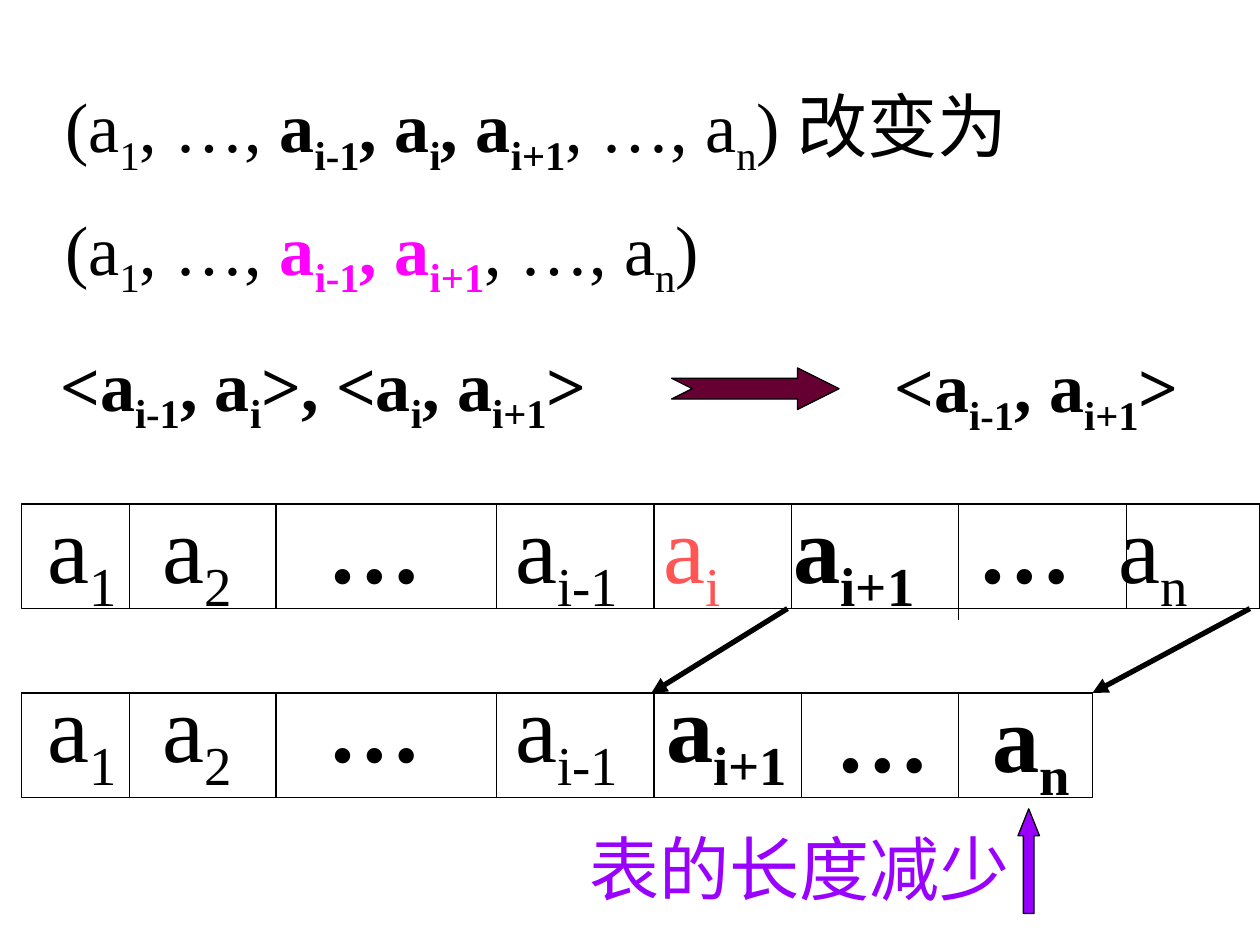
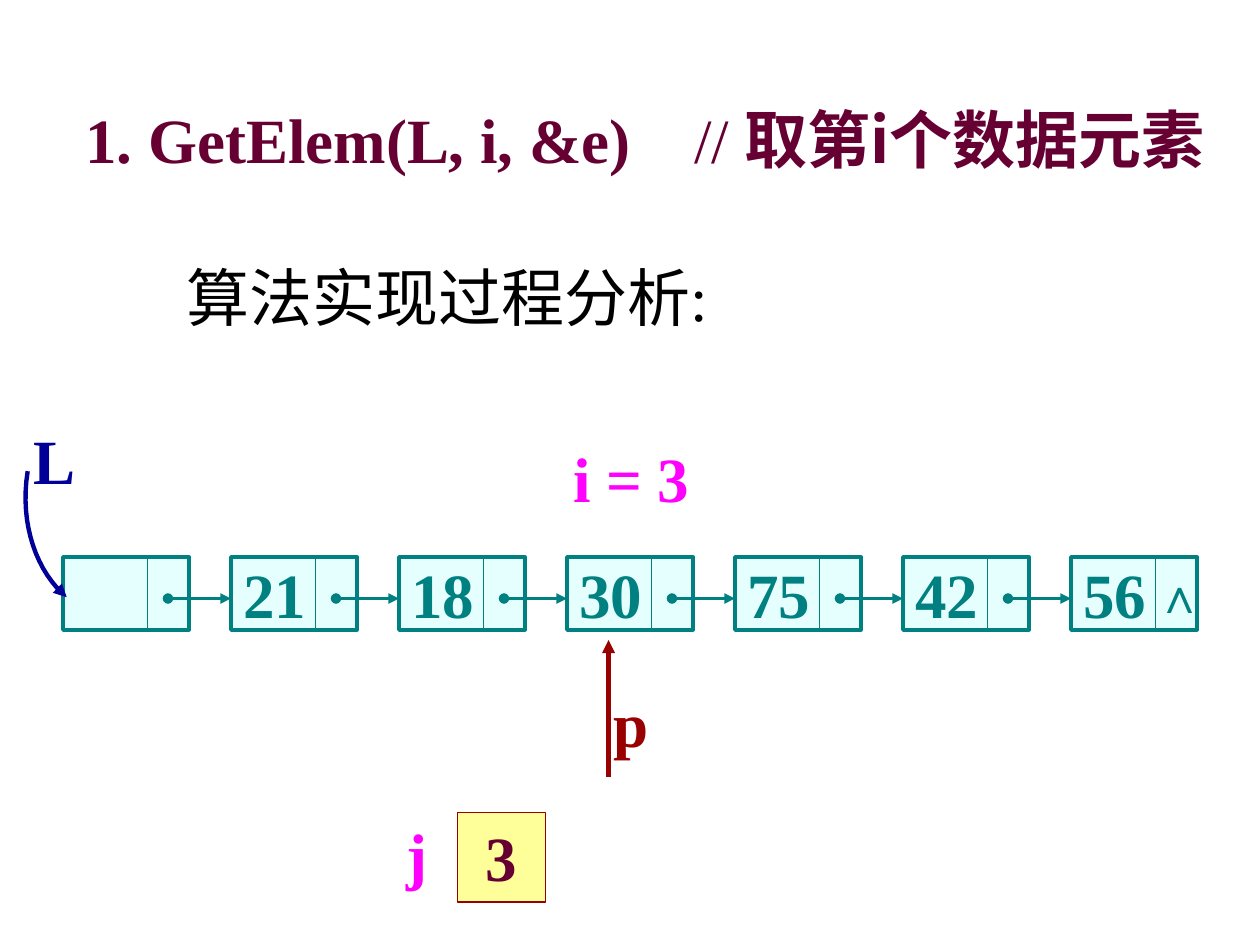
from dataclasses import dataclass

from lxml.etree import SubElement
from pptx import Presentation
from pptx.dml.color import RGBColor
from pptx.enum.shapes import MSO_CONNECTOR, MSO_SHAPE
from pptx.enum.text import MSO_ANCHOR, PP_ALIGN
from pptx.oxml.ns import qn
from pptx.util import Inches, Pt


@dataclass(frozen=True)
class Theme:
    """Colours, fonts and type sizes of the deck."""
    black: str = "000000"
    wine: str = "660033"
    violet: str = "9900FF"
    magenta: str = "FF00FF"
    coral: str = "FF5555"
    teal: str = "008080"
    pale_teal: str = "CCFFFF"
    navy: str = "000099"
    red: str = "990000"
    cream: str = "FFFF99"
    latin: str = "Times New Roman"
    chinese: str = "Noto Sans CJK SC"
    cell_size: int = 54
    formula_size: int = 40
    body_size: int = 36
    mark_size: int = 28
    thin: float = 0.75
    link: float = 2
    pointer: float = 2.5
    thick: float = 3


THEME = Theme()
FIRST_CELLS = [(0.11, "a[1]", {}), (1.02, "a[2]", {}),
               (2.33, "…", {"bold": True}), (3.82, "a[i-1]", {})]
FIRST_DIVIDERS = [0.86, 2.02, 3.77, 5.02]


def rgb(code):
    """Turn a hex code into a colour."""
    return RGBColor.from_string(code)


def subscript_parts(markup):
    """Split text such as a[i] into (text, is_subscript) parts."""
    for piece in markup.split("["):
        lowered, closed, rest = piece.partition("]")
        if closed:
            yield lowered, True
            yield rest, False
        else:
            yield piece, False


def add_span(para, text, lowered=False, size=THEME.body_size, color=THEME.black,
             bold=False, font=THEME.latin):
    """Add one formatted run to a paragraph."""
    span = para.add_run()
    span.text = text
    span.font.size, span.font.bold, span.font.name = Pt(size), bold, font
    span.font.color.rgb = rgb(color)
    properties = span.font._element
    if lowered:
        properties.set("baseline", "-25000")
    if any(ord(letter) > 0x2E80 for letter in text):
        SubElement(properties, qn("a:ea"), typeface=THEME.chinese)


def write(shape, spans, align=PP_ALIGN.LEFT, anchor=MSO_ANCHOR.TOP,
          spacing=None, tab=None, **style):
    """Fill a shape with spans, each text or a (text, style) pair."""
    frame = shape.text_frame
    frame.word_wrap, frame.vertical_anchor = True, anchor
    para = frame.paragraphs[0]
    para.alignment = align
    if spacing:
        para.line_spacing = spacing
    if tab:
        stops = SubElement(para._p.get_or_add_pPr(), qn("a:tabLst"))
        SubElement(stops, qn("a:tab"), pos=str(Inches(tab)), algn="l")
    for item in [spans] if isinstance(spans, str) else spans:
        markup, changes = (item, {}) if isinstance(item, str) else item
        for text, lowered in subscript_parts(markup):
            if text:
                add_span(para, text, lowered, **{**style, **changes})


def add_text(page, left, top, width, height, spans, **style):
    """Add a text box."""
    box = page.shapes.add_textbox(*map(Inches, (left, top, width, height)))
    write(box, spans, **style)


def add_shape(page, kind, left, top, width, height, fill=None, line=THEME.black,
              weight=THEME.thin, alpha=None, adjust=()):
    """Add a preset shape with its fill and outline."""
    shape = page.shapes.add_shape(kind, *map(Inches, (left, top, width, height)))
    shape.shadow.inherit = False
    for index, value in enumerate(adjust):
        shape.adjustments[index] = value
    if fill:
        shape.fill.solid()
        shape.fill.fore_color.rgb = rgb(fill)
    else:
        shape.fill.background()
    if alpha:
        color = shape._element.spPr.find(qn("a:solidFill"))[0]
        SubElement(color, qn("a:alpha"), val=str(alpha * 1000))
    shape.line.color.rgb = rgb(line)
    shape.line.width = Pt(weight)
    return shape


def style_line(line, color, weight, head=None, tail=None):
    """Set a line's colour, weight and end marks."""
    line.color.rgb = rgb(color)
    line.width = Pt(weight)
    for tag, mark in (("a:headEnd", head), ("a:tailEnd", tail)):
        if mark:
            SubElement(line._get_or_add_ln(), qn(tag), type=mark)


def add_line(page, start, end, color=THEME.black, weight=THEME.thin, **marks):
    """Add a straight connector between two points."""
    connector = page.shapes.add_connector(
        MSO_CONNECTOR.STRAIGHT, *map(Inches, (*start, *end)))
    style_line(connector.line, color, weight, **marks)
    SubElement(connector._element.spPr, qn("a:effectLst"))


def add_curve(page, start, pull_start, pull_end, end, steps=16, **style):
    """Draw a cubic curve that ends in an arrowhead."""
    points = []
    for step in range(steps + 1):
        t = step / steps
        weights = ((1 - t) ** 3, 3 * t * (1 - t) ** 2, 3 * t * t * (1 - t), t ** 3)
        points.append(tuple(
            Inches(sum(w * v for w, v in zip(weights, values)))
            for values in zip(start, pull_start, pull_end, end)))
    builder = page.shapes.build_freeform(*points[0])
    builder.add_line_segments(points[1:], close=False)
    curve = builder.convert_to_shape()
    curve.shadow.inherit = False
    curve.fill.background()
    style_line(curve.line, tail="triangle", **style)


def array_row(page, left, top, width, dividers, cells, text_rise, height=0.83):
    """Draw an array as a framed row of labelled cells."""
    for offset, label, style in cells:
        drop = style.get("drop", 0)
        font = {key: value for key, value in style.items() if key != "drop"}
        add_text(page, left + offset, top - text_rise + drop, 1.2, 1, label,
                 size=THEME.cell_size, **font)
    for offset, overshoot in dividers:
        add_line(page, (left + offset, top),
                 (left + offset, top + height + overshoot))
    add_shape(page, MSO_SHAPE.RECTANGLE, left, top, width, height)


def formulas(page, left, top):
    """Write the sequence and its pairs before and after the deletion."""
    size = THEME.formula_size
    strong = {"bold": True}
    bright = {"bold": True, "color": THEME.magenta}
    add_text(page, left, top, 7.9, 0.93,
             ["(a[1], …, ", ("a[i-1], a[i], a[i+1]", strong), ", …, a[n]) 改变为"],
             size=size, spacing=1.25)
    add_text(page, left, top + 1.16, 5.42, 0.77,
             ["(a[1], …,", (" a[i-1], a[i+1]", bright), ", …, a[n])"], size=size)
    add_text(page, left - 0.04, top + 2.24, 4.54, 0.77,
             "<a[i-1], a[i]>, <a[i], a[i+1]>", size=size, bold=True)
    add_shape(page, MSO_SHAPE.NOTCHED_RIGHT_ARROW, left + 4.91, top + 2.5,
              1.33, 0.33, fill=THEME.wine, adjust=(0.5, 1))
    add_text(page, left + 6.58, top + 2.25, 2.59, 0.77,
             "<a[i-1], a[i+1]>", size=size, bold=True)


def arrays(page, left, top):
    """Show the array before and after the deletion."""
    strong = {"bold": True}
    dividers = [(offset, 0) for offset in FIRST_DIVIDERS]
    array_row(page, left, top, 9.83,
              dividers + [(6.11, 0), (7.44, 0.09), (8.77, 0)],
              FIRST_CELLS + [(5, "a[i]", {"color": THEME.coral}),
                             (6.03, "a[i+1]", strong), (7.49, "…", strong),
                             (8.61, "a[n]", {})], 0.17)
    lowered = {"bold": True, "drop": 0.08}
    array_row(page, left, top + 1.5, 8.5, dividers + [(6.19, 0), (7.44, 0)],
              FIRST_CELLS + [(5.02, "a[i+1]", strong), (6.36, "…", lowered),
                             (7.61, "a[n]", lowered)], 0.25)
    for start, end in ((6.08, 5), (9.75, 8.5)):
        add_line(page, (left + start, top + 0.83), (left + end, top + 1.5),
                 weight=THEME.thick, tail="triangle")


def length_note(page, left, top):
    """Point out that the list has become shorter."""
    add_text(page, left, top + 0.08, 3.6, 0.77, "表的长度减少",
             size=THEME.formula_size, color=THEME.violet)
    add_shape(page, MSO_SHAPE.UP_ARROW, left + 3.5, top, 0.17, 0.83,
              fill=THEME.violet, adjust=(0.5, 1.25))


def heading(page, left, top):
    """Write the operation's name and the line that opens its analysis."""
    add_text(page, left, top, 9.19, 1.25,
             [("1. GetElem(L, i, &e)", {"bold": True}), "\t// ",
              ("取第i个数据元素", {"bold": True, "font": THEME.chinese})],
             color=THEME.wine, tab=4.83)
    add_text(page, left + 0.8, top + 1.25, 6.37, 0.7, "算法实现过程分析:")


def list_node(page, left, top, value):
    """Draw one list node with its value and pointer field."""
    node = add_shape(page, MSO_SHAPE.RECTANGLE, left, top, 1, 0.58,
                     fill=THEME.pale_teal, alpha=50, line=THEME.teal,
                     weight=THEME.link)
    if value:
        write(node, value, anchor=MSO_ANCHOR.MIDDLE, color=THEME.teal, bold=True)
    add_line(page, (left + 0.67, top), (left + 0.67, top + 0.58), THEME.teal)


def linked_list(page, left, top, values):
    """Chain the head node and the value nodes together."""
    step = 4 / 3
    for index, value in enumerate(["", *values]):
        node_left = left + index * step
        list_node(page, node_left, top, value)
        if index:
            add_line(page, (node_left - 0.5, top + 0.33), (node_left, top + 0.33),
                     THEME.teal, THEME.link, head="oval", tail="triangle")
    add_text(page, left + len(values) * step + 0.57, top + 0.01, 0.59, 0.57, "∧",
             size=THEME.mark_size, color=THEME.teal, bold=True)
    add_text(page, left - 0.33, top - 1.12, 0.53, 0.7, "L",
             color=THEME.navy, bold=True)
    add_curve(page, (left - 0.28, top - 0.68), (left - 0.35, top - 0.25),
              (left - 0.2, top + 0.13), (left + 0.03, top + 0.32),
              color=THEME.navy, weight=THEME.pointer)


def search_state(page, left, top):
    """Show the target index, the pointer p and the counter j."""
    add_text(page, left + 1.32, top, 1.2, 0.7, "i = 3",
             color=THEME.magenta, bold=True)
    add_line(page, (left + 1.7, top + 2.73), (left + 1.7, top + 1.64),
             THEME.red, THEME.pointer, tail="triangle")
    add_text(page, left + 1.64, top + 1.94, 0.48, 0.7, "p",
             color=THEME.red, bold=True)
    add_text(page, left, top + 2.98, 0.4, 0.7, "j",
             color=THEME.magenta, bold=True)
    counter = add_shape(page, MSO_SHAPE.RECTANGLE, left + 0.5, top + 3.01,
                        0.7, 0.71, fill=THEME.cream, line=THEME.red)
    write(counter, "3", align=PP_ALIGN.CENTER, color=THEME.wine, bold=True)


def deletion_slide(page):
    """Build the slide on deleting an element from a sequential list."""
    formulas(page, 0.42, 0.42)
    arrays(page, 0.17, 4)
    length_note(page, 4.58, 6.42)


def lookup_slide(page):
    """Build the slide on finding an element in a linked list."""
    heading(page, 0.58, 0.75)
    linked_list(page, 0.5, 4.42, ["21", "18", "30", "75", "42", "56"])
    search_state(page, 3.13, 3.44)


def main():
    """Build and save the deck."""
    deck = Presentation()
    deck.slide_width, deck.slide_height = Inches(10), Inches(7.5)
    for build in (deletion_slide, lookup_slide):
        build(deck.slides.add_slide(deck.slide_layouts[6]))
    deck.save("out.pptx")


if __name__ == "__main__":
    main()
